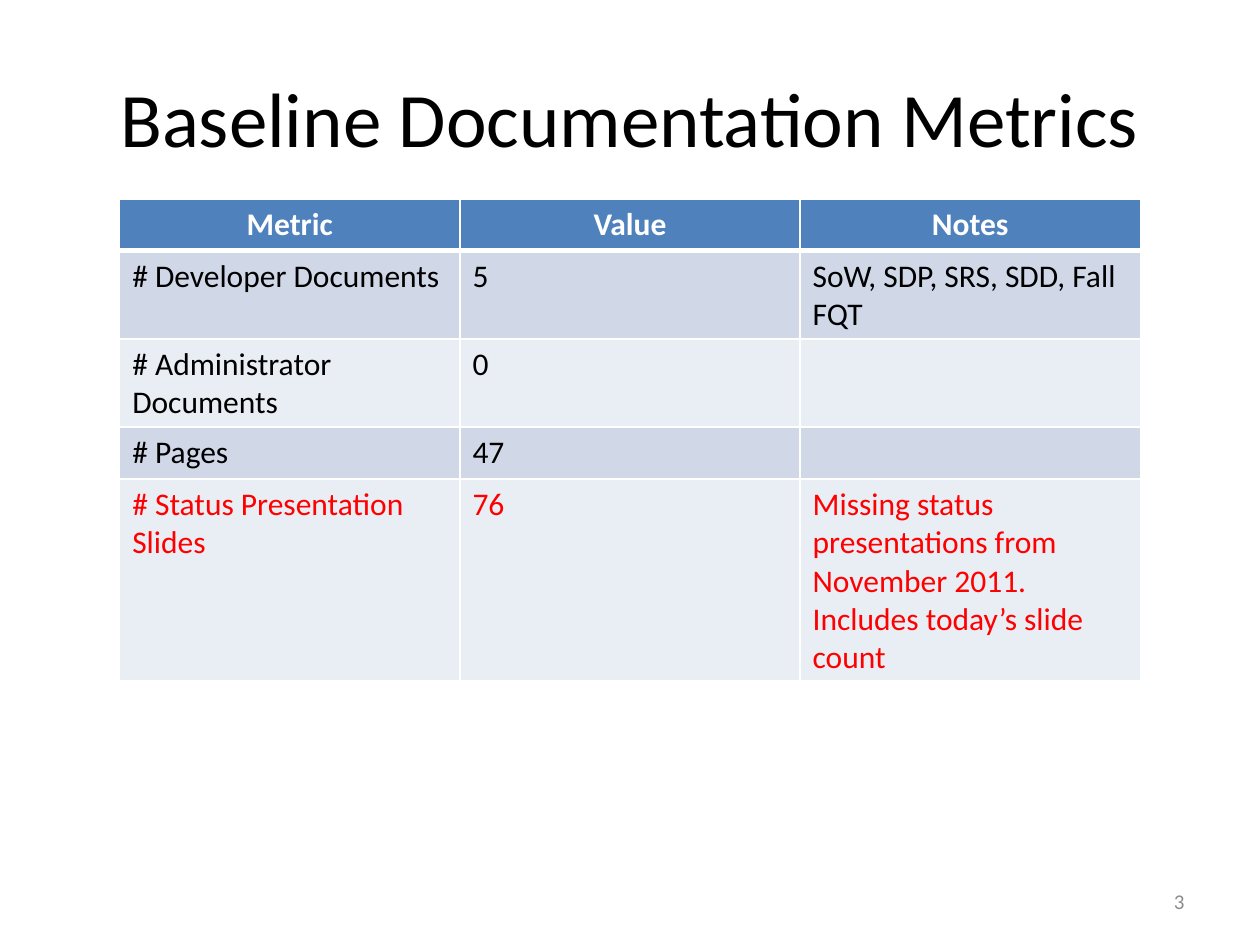
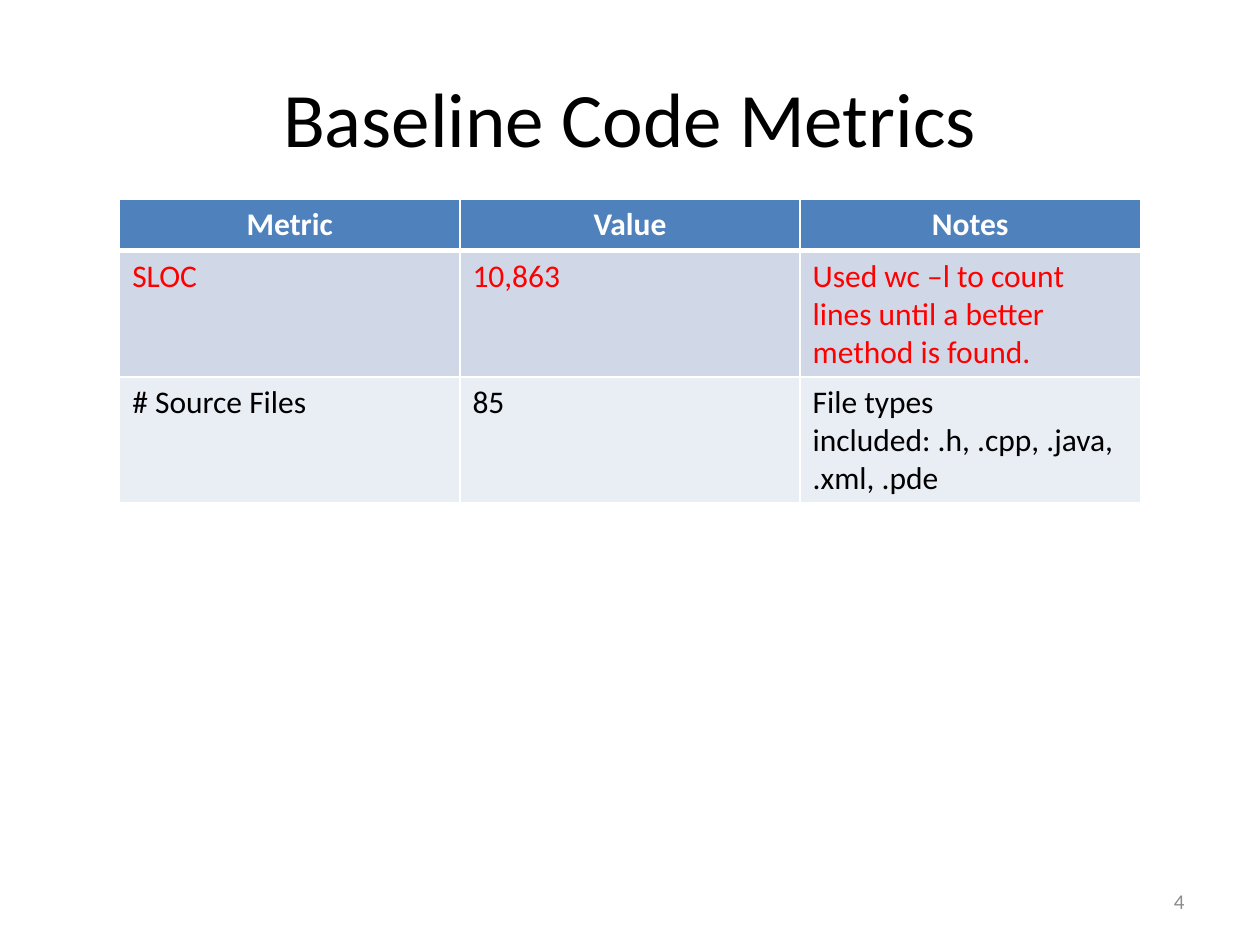
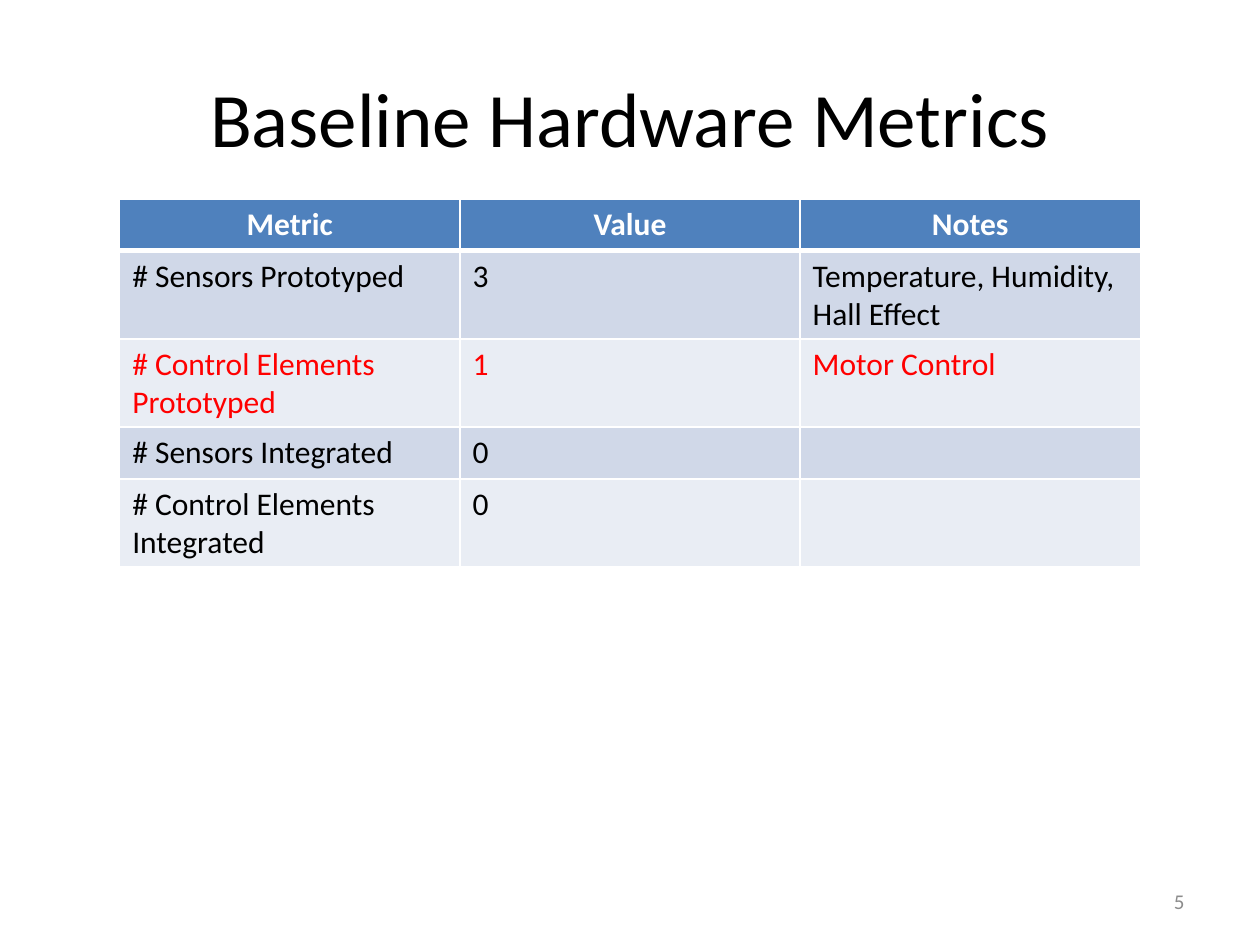
from dataclasses import dataclass

from lxml.etree import SubElement
from pptx import Presentation
from pptx.dml.color import RGBColor as Rgb
from pptx.enum.text import MSO_ANCHOR as Anchor, PP_ALIGN as Align
from pptx.oxml.ns import qn
from pptx.util import Inches, Pt


@dataclass(frozen=True)
class Theme:
    font: str = "Calibri"
    title_size: int = 44
    table_size: int = 18
    number_size: int = 12
    text: str = "000000"
    changed: str = "FF0000"
    number: str = "8C8C8C"
    white: str = "FFFFFF"
    header: str = "4F81BD"
    bands: tuple = ("D0D8E8", "E9EDF4")


THEME = Theme()
HEADINGS = ("Metric", "Value", "Notes")
COLUMN_WIDTH = 2.7
ROW_HEIGHT = 0.41
FIRST_NUMBER = 3

# Each row: metric, value, notes, changed since the last report
PAGES = [
    ("Baseline Documentation Metrics", [
        ("# Developer Documents", "5", "SoW, SDP, SRS, SDD, Fall FQT", False),
        ("# Administrator Documents", "0", "", False),
        ("# Pages", "47", "", False),
        ("# Status Presentation Slides", "76",
         "Missing status presentations from November 2011. "
         "Includes today’s slide count", True),
    ]),
    ("Baseline Code Metrics", [
        ("SLOC", "10,863",
         "Used wc –l to count lines until a better method is found.", True),
        ("# Source Files", "85",
         "File types included: .h, .cpp, .java, .xml, .pde", False),
    ]),
    ("Baseline Hardware Metrics", [
        ("# Sensors Prototyped", "3", "Temperature, Humidity, Hall Effect", False),
        ("# Control Elements Prototyped", "1", "Motor Control", True),
        ("# Sensors Integrated", "0", "", False),
        ("# Control Elements Integrated", "0", "", False),
    ]),
]


def write(frame, text, size, color, align, bold=False):
    para = frame.paragraphs[0]
    para.alignment = align
    para.font.size = Pt(size)
    if text:
        span = para.add_run()
        span.text = text
        span.font.name = THEME.font
        span.font.size = Pt(size)
        span.font.bold = bold
        span.font.color.rgb = Rgb.from_string(color)


def add_text(page, text, left, top, width, height, size, color, align):
    box = page.shapes.add_textbox(
        Inches(left), Inches(top), Inches(width), Inches(height))
    frame = box.text_frame
    frame.word_wrap = True
    frame.vertical_anchor = Anchor.MIDDLE
    write(frame, text, size, color, align)


def set_borders(cell, top=1, bottom=1):
    """Draw white cell borders; widths are in points."""
    properties = cell._tc.get_or_add_tcPr()
    for side, width in (("L", 1), ("R", 1), ("T", top), ("B", bottom)):
        line = SubElement(properties, qn(f"a:ln{side}"), w=str(Pt(width)))
        fill = SubElement(line, qn("a:solidFill"))
        SubElement(fill, qn("a:srgbClr"), val=THEME.white)


def fill_cell(cell, color):
    cell.fill.solid()
    cell.fill.fore_color.rgb = Rgb.from_string(color)


def add_metrics_table(page, rows):
    row_count = len(rows) + 1
    table = page.shapes.add_table(
        row_count, len(HEADINGS), Inches(0.95), Inches(1.58),
        Inches(COLUMN_WIDTH * len(HEADINGS)),
        Inches(ROW_HEIGHT * row_count)).table

    for column, heading in enumerate(HEADINGS):
        cell = table.cell(0, column)
        set_borders(cell, bottom=3)
        fill_cell(cell, THEME.header)
        write(cell.text_frame, heading, THEME.table_size, THEME.white,
              Align.CENTER, bold=True)

    for index, (*values, changed) in enumerate(rows):
        color = THEME.changed if changed else THEME.text
        for column, value in enumerate(values):
            cell = table.cell(index + 1, column)
            set_borders(cell, top=3 if index == 0 else 1)
            fill_cell(cell, THEME.bands[index % 2])
            write(cell.text_frame, value, THEME.table_size, color, Align.LEFT)


def add_page(deck, number, title, rows):
    page = deck.slides.add_slide(deck.slide_layouts[6])
    add_text(page, title, 0.5, 0.3, 9, 1.25,
             THEME.title_size, THEME.text, Align.CENTER)
    add_text(page, str(number), 7.17, 6.95, 2.33, 0.4,
             THEME.number_size, THEME.number, Align.RIGHT)
    add_metrics_table(page, rows)


def main():
    deck = Presentation()
    deck.slide_width, deck.slide_height = Inches(10), Inches(7.5)
    for number, (title, rows) in enumerate(PAGES, FIRST_NUMBER):
        add_page(deck, number, title, rows)
    deck.save("out.pptx")


if __name__ == "__main__":
    main()
